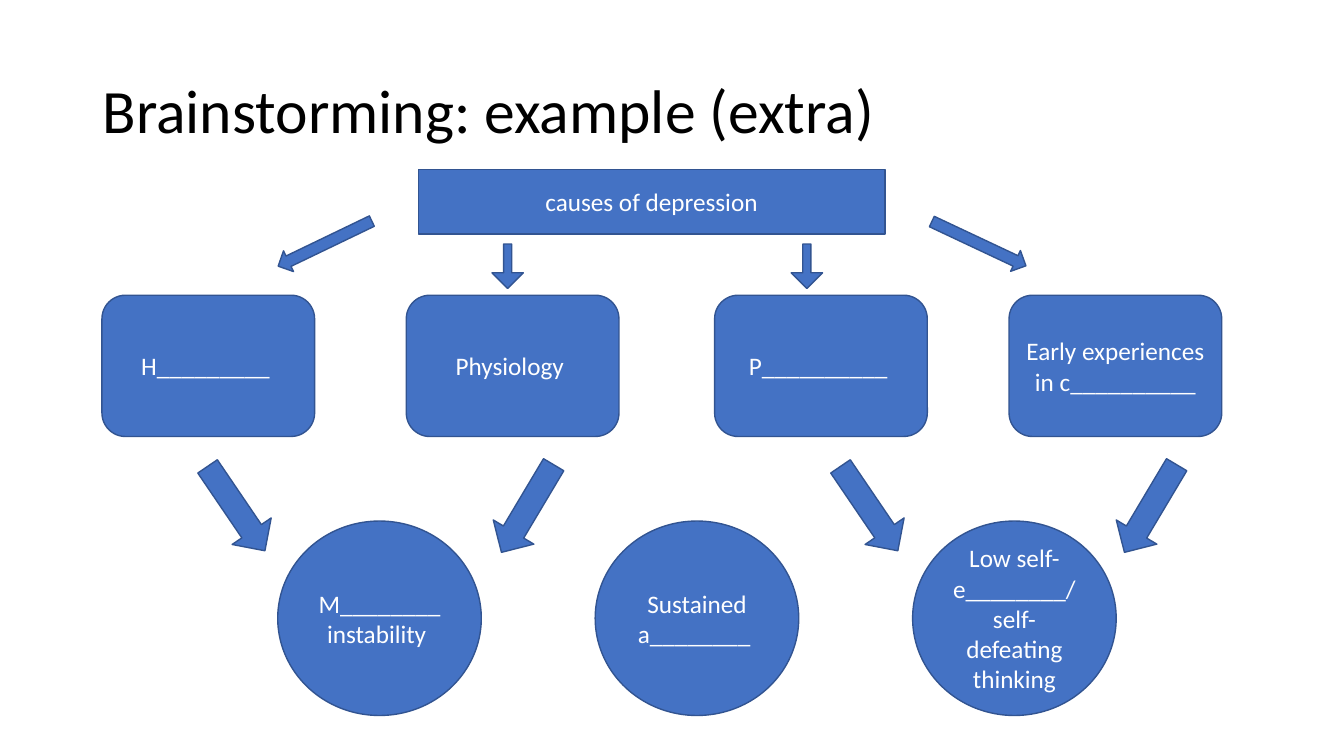
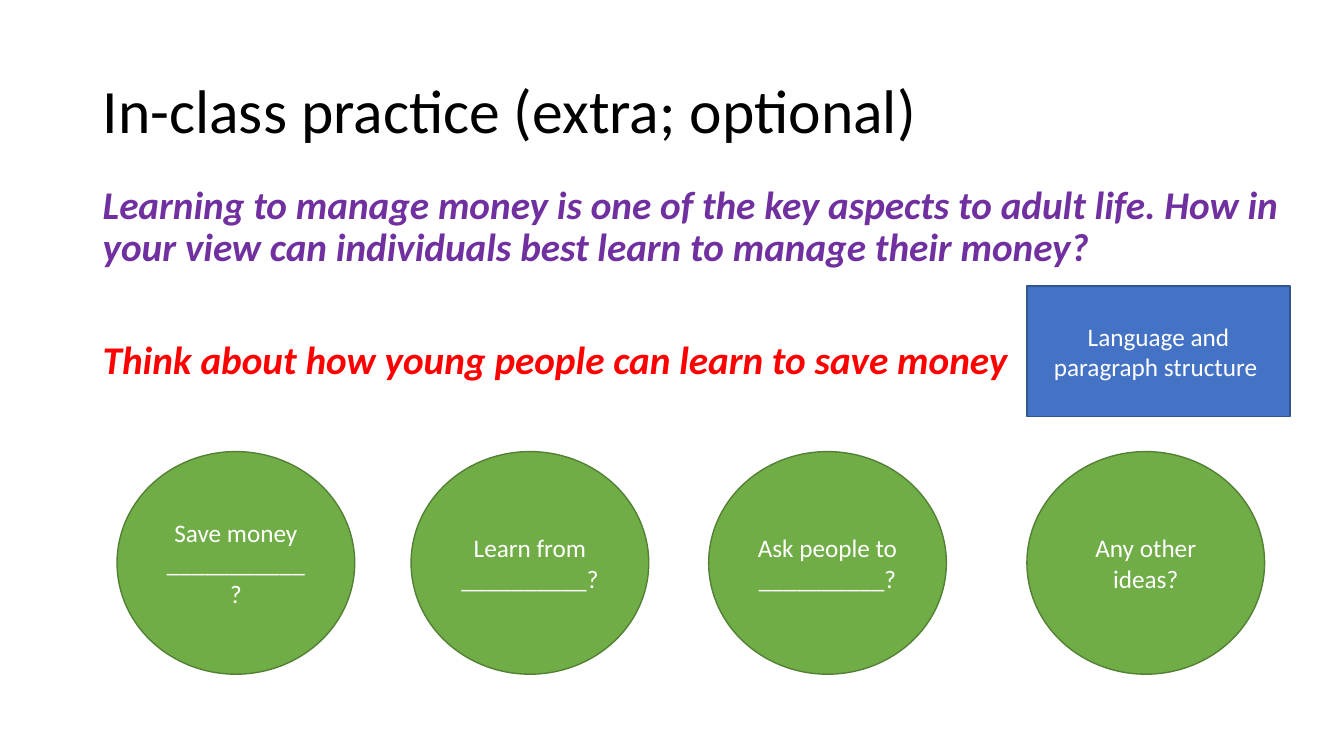
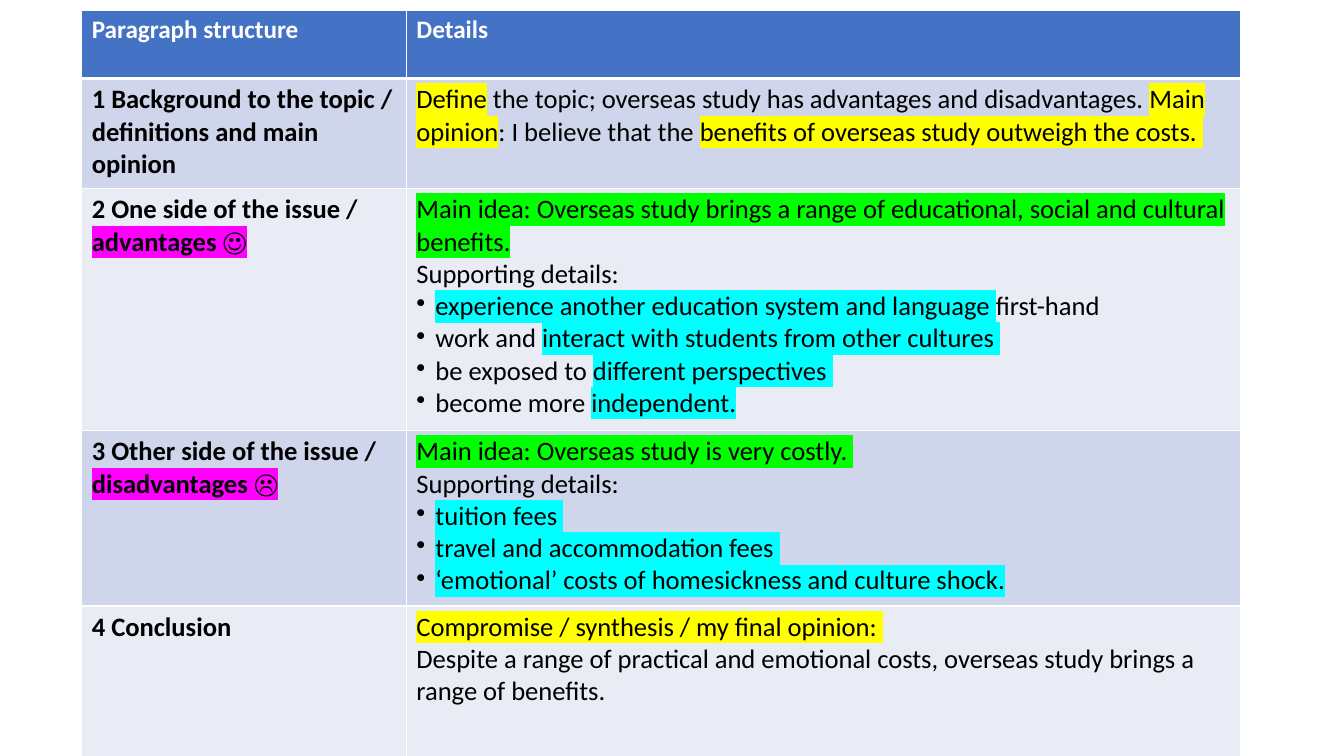
from lxml import etree
from pptx import Presentation, util as u
from pptx.dml.color import RGBColor
from pptx.enum import shapes, text
from pptx.oxml.ns import qn

BLUE, BLUE_LINE = "4472C4", "325491"
GREEN, GREEN_LINE = "70AD47", "538035"
BLACK, WHITE, PURPLE, RED = "000000", "FFFFFF", "7030A0", "FF0000"
BAND_DARK, BAND_LIGHT = "CFD5EA", "E9EBF5"
YELLOW, LIME, CYAN, PINK = "FFFF00", "00FF00", "00FFFF", "FF00FF"
RECT = shapes.MSO_SHAPE.RECTANGLE
ROUND = shapes.MSO_SHAPE.ROUNDED_RECTANGLE
OVAL = shapes.MSO_SHAPE.OVAL
DOWN = shapes.MSO_SHAPE.DOWN_ARROW


def rgb(value):
    return RGBColor.from_string(value)


def cm(*values):
    return [u.Cm(v) for v in values]


class Deck:
    font = "Calibri"

    def __init__(self):
        self.prs = Presentation()
        self.prs.slide_width, self.prs.slide_height = cm(33.87, 19.05)
        self.s = None

    def slide(self, title=None):
        self.s = self.prs.slides.add_slide(self.prs.slide_layouts[6])
        if title:
            tf = self.textbox(2.34, 1.02, 29.21, 3.68)
            tf.vertical_anchor = text.MSO_ANCHOR.MIDDLE
            p = tf.paragraphs[0]
            p.line_spacing = 0.9
            self.run(p, title, BLACK, size=44)

    def run(self, p, words, color, size=18, highlight=None, **style):
        r = p.add_run()
        r.text = words
        r.font.color.rgb = rgb(color)
        for name, value in dict(style, size=u.Pt(size), name=self.font).items():
            setattr(r.font, name, value)
        if highlight:
            mark = etree.Element(qn("a:highlight"))
            etree.SubElement(mark, qn("a:srgbClr"), val=highlight)
            r.font._element.find(qn("a:solidFill")).addnext(mark)

    def textbox(self, x, y, w, h):
        tf = self.s.shapes.add_textbox(*cm(x, y, w, h)).text_frame
        tf.word_wrap = True
        return tf

    def body(self, x, y, w, h, items):
        tf = self.textbox(x, y, w, h)
        for i, (words, color, gap) in enumerate(items):
            p = tf.add_paragraph() if i else tf.paragraphs[0]
            p.line_spacing, p.space_before = 0.9, u.Pt(gap)
            self.run(p, words, color, size=28, bold=True, italic=True)

    def shape(self, kind, x, y, w, h, words="", fill=BLUE, line=BLUE_LINE, turn=0):
        sp = self.s.shapes.add_shape(kind, *cm(x, y, w, h))
        sp.shadow.inherit = False
        sp.rotation = turn
        sp.fill.solid()
        sp.fill.fore_color.rgb = rgb(fill)
        sp.line.color.rgb = rgb(line)
        sp.line.width = u.Pt(1)
        if words:
            tf = sp.text_frame
            tf.word_wrap = True
            tf.vertical_anchor = text.MSO_ANCHOR.MIDDLE
            p = tf.paragraphs[0]
            p.alignment = text.PP_ALIGN.CENTER
            self.run(p, words, WHITE)
        return sp

    def bullet(self, p):
        pr = p._p.get_or_add_pPr()
        indent = u.Cm(0.48)
        pr.set("marL", str(indent))
        pr.set("indent", str(-indent))
        etree.SubElement(pr, qn("a:buChar"), char="•")

    def borders(self, cell, **widths):
        pr = cell._tc.get_or_add_tcPr()
        for side in "LRTB":
            ln = etree.SubElement(pr, qn("a:ln" + side), w=str(u.Pt(widths.get(side, 1))))
            fill = etree.SubElement(ln, qn("a:solidFill"))
            etree.SubElement(fill, qn("a:srgbClr"), val=WHITE)

    def cell(self, cell, paragraphs, fill, color, size, bold, **widths):
        self.borders(cell, **widths)
        cell.fill.solid()
        cell.fill.fore_color.rgb = rgb(fill)
        tf = cell.text_frame
        for i, runs in enumerate(paragraphs):
            p = tf.add_paragraph() if i else tf.paragraphs[0]
            if runs[0] == "•":
                self.bullet(p)
                runs = runs[1:]
            for item in runs:
                words, mark = (item, None) if isinstance(item, str) else item
                self.run(p, words, color, size, mark, bold=bold)

    def table(self, x, y, widths, heights, rows):
        frame = self.s.shapes.add_table(len(rows), len(widths), *cm(x, y, sum(widths), sum(heights)))
        t = frame.table
        for col, width in zip(t.columns, widths):
            col.width = u.Cm(width)
        for i, (height, row) in enumerate(zip(heights, rows)):
            t.rows[i].height = u.Cm(height)
            for j, paragraphs in enumerate(row):
                if i == 0:
                    self.cell(t.cell(i, j), paragraphs, BLUE, WHITE, 18, True, B=3)
                else:
                    band = BAND_DARK if i % 2 else BAND_LIGHT
                    top = 3 if i == 1 else 1
                    self.cell(t.cell(i, j), paragraphs, band, BLACK, 19, j == 0, T=top)


def causes(d):
    d.slide("Brainstorming: example (extra)")
    d.shape(RECT, 10.54, 4.27, 11.76, 1.63, "causes of depression")
    factors = ["H_________ ", "Physiology ", "P__________ ", "Early experiences in c__________"]
    for x, words in zip([2.57, 10.24, 18.01, 25.43], factors):
        d.shape(ROUND, x, 7.44, 5.36, 3.56, words)
    effects = ["M________ instability ", "Sustained a________ ",
               "Low self-e________/ self-defeating thinking"]
    for i, words in enumerate(effects):
        d.shape(OVAL, 7 + 8 * i, 13.13, 5.13, 4.9, words)
    for x, turn in [(12.7, 30.8), (28.4, 30.8), (5.36, 325.8), (21.31, 325.8)]:
        d.shape(DOWN, x, 11.53, 1.19, 2.57, turn=turn)
    for x, turn in [(7.9, 64.3), (24.38, 295.2)]:
        d.shape(DOWN, x, 4.83, 0.58, 2.62, turn=turn)
    for x in [12.4, 19.94]:
        d.shape(DOWN, x, 6.15, 0.79, 1.12).adjustments[0] = 0.26


def practice(d):
    d.slide("In-class practice (extra; optional)")
    d.body(2.34, 4.55, 30.28, 13.97, [
        ("Learning to manage money is one of the key aspects to adult life. "
         "How in your view can individuals best learn to manage their money?", PURPLE, 10),
        ("Think about how young people can learn to save money", RED, 50)])
    ideas = ["Save money ___________?", "Learn from __________?",
             "Ask people to __________?", "Any other ideas?"]
    for x, words in zip([2.95, 10.36, 17.86, 25.88], ideas):
        d.shape(OVAL, x, 11.38, 5.99, 5.61, words, GREEN, GREEN_LINE)
    d.shape(RECT, 25.88, 7.21, 6.63, 3.28, "Language and paragraph structure ")


def structure(d):
    d.slide()
    support = ["Supporting details:"]
    d.table(2.06, 0.25, [8.18, 21.03], [1.73, 2.77, 6.1, 4.42, 4.37], [
        [[["Paragraph structure"]], [["Details"]]],
        [[["1 Background to the topic / definitions and main opinion"]],
         [[("Define", YELLOW), " the topic; overseas study has advantages and disadvantages. ",
           ("Main opinion", YELLOW), ": I believe that the ",
           ("benefits of overseas study outweigh the costs. ", YELLOW)]]],
        [[["2 One side of the issue / ", ("advantages ☺", PINK)]],
         [[("Main idea: Overseas study brings a range of educational, "
            "social and cultural benefits.", LIME)],
          support,
          ["•", ("experience another education system and language ", CYAN), "first-hand"],
          ["•", "work and ", ("interact with students from other cultures ", CYAN)],
          ["•", "be exposed to ", ("different perspectives ", CYAN)],
          ["•", "become more ", ("independent.", CYAN)]]],
        [[["3 Other side of the issue / ", ("disadvantages ☹", PINK)]],
         [[("Main idea: Overseas study is very costly. ", LIME)],
          support,
          ["•", ("tuition fees ", CYAN)],
          ["•", ("travel and accommodation fees ", CYAN)],
          ["•", ("‘emotional’ costs of homesickness and culture shock.", CYAN)]]],
        [[["4 Conclusion"]],
         [[("Compromise / synthesis / my final opinion: ", YELLOW)],
          ["Despite a range of practical and emotional costs, "
           "overseas study brings a range of benefits."]]]])


def main():
    d = Deck()
    for build in (causes, practice, structure):
        build(d)
    d.prs.save("out.pptx")


if __name__ == "__main__":
    main()
